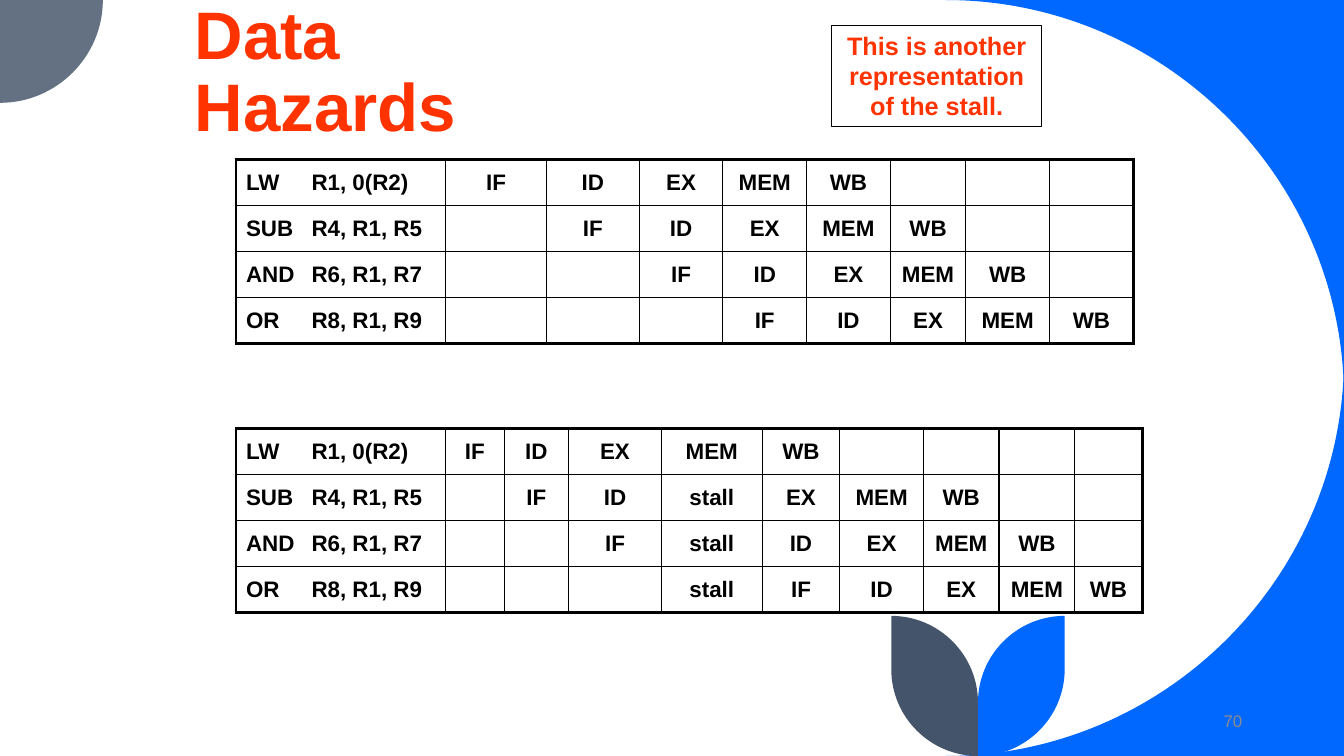
from dataclasses import dataclass

from lxml import etree
from pptx import Presentation
from pptx.dml.color import RGBColor
from pptx.enum.shapes import MSO_SHAPE
from pptx.enum.text import MSO_ANCHOR, MSO_AUTO_SIZE, PP_ALIGN
from pptx.oxml.ns import qn
from pptx.util import Inches, Pt

LEFT, CENTER, RIGHT = PP_ALIGN.LEFT, PP_ALIGN.CENTER, PP_ALIGN.RIGHT
TOP, MIDDLE, BOTTOM = MSO_ANCHOR.TOP, MSO_ANCHOR.MIDDLE, MSO_ANCHOR.BOTTOM
RECTANGLE = MSO_SHAPE.RECTANGLE
NO_FIT, GROW = MSO_AUTO_SIZE.NONE, MSO_AUTO_SIZE.SHAPE_TO_FIT_TEXT


@dataclass(frozen=True)
class Theme:
    font: str = "Arial"
    blue: str = "0068FF"
    gray: str = "637183"
    slate: str = "44546A"
    red: str = "FF3300"
    black: str = "000000"
    muted: str = "8C8C8C"
    title: int = 48
    note: int = 18
    cell: int = 16
    number: int = 12
    thin: float = 1
    thick: float = 2.25


THEME = Theme()
ROUNDNESS = 0.55
TABLE_LEFT, TABLE_HEIGHT = 2.34, 1.83
OPERAND_TAB = 0.65
PIPELINE = ["IF", "ID", "EX", "MEM", "WB"]
INSTRUCTIONS = ["LW\tR1, 0(R2)", "SUB\tR4, R1, R5", "AND\tR6, R1, R7", "OR\tR8, R1, R9"]
STALL_COLUMN = 3
IDEAL_WIDTHS = [2.08, 1, 0.92, 0.83, 0.83, 0.83, 0.75, 0.83, 0.83]
STALL_WIDTHS = [2.08, 0.58, 0.64, 0.92, 1, 0.77, 0.83, 0.75, 0.75, 0.67]


def set_attributes(target, values):
    for name, value in values.items():
        setattr(target, name, value)


def write(tf, text, size, color, bold=True, align=LEFT, **frame):
    """Put one formatted paragraph in a text frame and return it."""
    set_attributes(tf, {"word_wrap": True, **frame})
    p = tf.paragraphs[0]
    p.alignment = align
    r = p.add_run()
    r.text = text
    set_attributes(r.font, {"name": THEME.font, "size": Pt(size), "bold": bold})
    r.font.color.rgb = RGBColor.from_string(color)
    return p


def place(shape, *box):
    names = ("left", "top", "width", "height")
    set_attributes(shape, dict(zip(names, map(Inches, box))))


def bend(line, start, corner, end, origin):
    """Turn a straight segment into a quarter circle that bulges to the corner."""
    def toward_corner(point):
        return [a + ROUNDNESS * (b - a) for a, b in zip(point, corner)]

    curve = etree.Element(qn("a:cubicBezTo"))
    for point in (toward_corner(start), toward_corner(end), end):
        x, y = (Inches(a) - o for a, o in zip(point, origin))
        etree.SubElement(curve, qn("a:pt"), x=str(x), y=str(y))
    line.getparent().replace(line, curve)


def add_outline(s, points, corners, color):
    """Draw a closed outline; corners maps a point's index to the bend before it."""
    emu = [(Inches(x), Inches(y)) for x, y in points]
    builder = s.shapes.build_freeform(*emu[0])
    builder.add_line_segments(emu[1:], close=True)
    sp = builder.convert_to_shape()
    sp.shadow.inherit = False
    sp.fill.solid()
    sp.fill.fore_color.rgb = RGBColor.from_string(color)
    sp.line.fill.background()
    lines = list(sp._element.iter(qn("a:lnTo")))
    for i, corner in corners.items():
        bend(lines[i - 1], points[i - 1], corner, points[i], (sp.left, sp.top))


def add_decoration(s):
    top_right, bottom_right = (13.33, 0), (13.33, 7.5)
    add_outline(s, [(9.38, 0), (13.33, 3.95), top_right], {1: top_right}, THEME.blue)
    add_outline(s, [(13.33, 3.55), (9.38, 7.5), bottom_right], {1: bottom_right}, THEME.blue)
    add_outline(s, [(1.02, 0), (0, 1.02), (0, 0)], {1: (1.02, 1.02)}, THEME.gray)

    stem = 9.7
    for side, color in ((1, THEME.blue), (-1, THEME.slate)):
        tip = stem + side * 0.86
        leaf = [(tip, 6.11), (tip, 6.64), (stem, 7.5), (stem, 6.97), (tip, 6.11)]
        add_outline(s, leaf, {2: (tip, 7.5), 4: (stem, 6.11)}, color)


def add_title(s, text, box):
    sp = s.shapes.title
    place(sp, *box)
    p = write(sp.text_frame, text, THEME.title, THEME.red,
              vertical_anchor=BOTTOM, auto_size=NO_FIT)
    p.line_spacing = 0.9


def add_note(s, text, box):
    sp = s.shapes.add_shape(RECTANGLE, *map(Inches, box))
    sp.shadow.inherit = False
    sp.fill.background()
    sp.line.color.rgb = RGBColor.from_string(THEME.black)
    sp.line.width = Pt(0.75)
    write(sp.text_frame, text, THEME.note, THEME.red, align=CENTER,
          vertical_anchor=TOP, auto_size=GROW)


def add_slide_number(s, text, box):
    sp = s.shapes.add_textbox(*map(Inches, box))
    write(sp.text_frame, text, THEME.number, THEME.muted, bold=False, align=RIGHT,
          vertical_anchor=MIDDLE)


def add_tab_stop(p, position):
    tabs = etree.SubElement(p._p.get_or_add_pPr(), qn("a:tabLst"))
    etree.SubElement(tabs, qn("a:tab"), pos=str(Inches(position)), algn="l")


def set_borders(cell, outer):
    """Draw all four sides, heavier on those that lie on the table's edge."""
    tc_pr = cell._tc.get_or_add_tcPr()
    for side, is_outer in outer.items():
        width = Pt(THEME.thick if is_outer else THEME.thin)
        line = etree.SubElement(tc_pr, qn(f"a:ln{side}"), w=str(width))
        fill = etree.SubElement(line, qn("a:solidFill"))
        etree.SubElement(fill, qn("a:srgbClr"), val=THEME.black)


def pipeline_rows(columns, stalled=False):
    """Start each instruction one cycle later; a stall delays all but the first."""
    rows = []
    for i, instruction in enumerate(INSTRUCTIONS):
        cycles = [""] * i + PIPELINE
        if stalled and i:
            cycles.insert(STALL_COLUMN, "stall")
        rows.append(([instruction] + cycles + [""] * columns)[:columns])
    return rows


def add_pipeline_table(s, top, widths, stalled=False):
    rows = pipeline_rows(len(widths), stalled)
    frame = s.shapes.add_table(len(rows), len(widths), Inches(TABLE_LEFT), Inches(top),
                               Inches(sum(widths)), Inches(TABLE_HEIGHT))
    table = frame.table
    set_attributes(table, {"first_row": False, "horz_banding": False})
    for column, width in zip(table.columns, widths):
        column.width = Inches(width)
    for i, row in enumerate(rows):
        for j, text in enumerate(row):
            cell = table.cell(i, j)
            cell.vertical_anchor = MIDDLE
            set_borders(cell, {"L": j == 0, "R": j == len(widths) - 1,
                               "T": i == 0, "B": i == len(rows) - 1})
            cell.fill.background()
            if text:
                p = write(cell.text_frame, text, THEME.cell, THEME.black,
                          align=CENTER if j else LEFT)
                if j == 0:
                    add_tab_stop(p, OPERAND_TAB)


def main():
    prs = Presentation()
    prs.slide_width, prs.slide_height = Inches(13.33), Inches(7.5)
    s = prs.slides.add_slide(prs.slide_layouts.get_by_name("Title Only"))
    add_decoration(s)
    add_title(s, "Data Hazards", (1.83, 0.25, 4.42, 1.25))
    add_slide_number(s, "70", (9.42, 6.95, 3, 0.4))
    add_note(s, "This is another representation of the stall.", (8.25, 0.25, 2.08, 1.01))
    add_pipeline_table(s, 1.58, IDEAL_WIDTHS)
    add_pipeline_table(s, 4.25, STALL_WIDTHS, stalled=True)
    prs.save("out.pptx")


if __name__ == "__main__":
    main()
